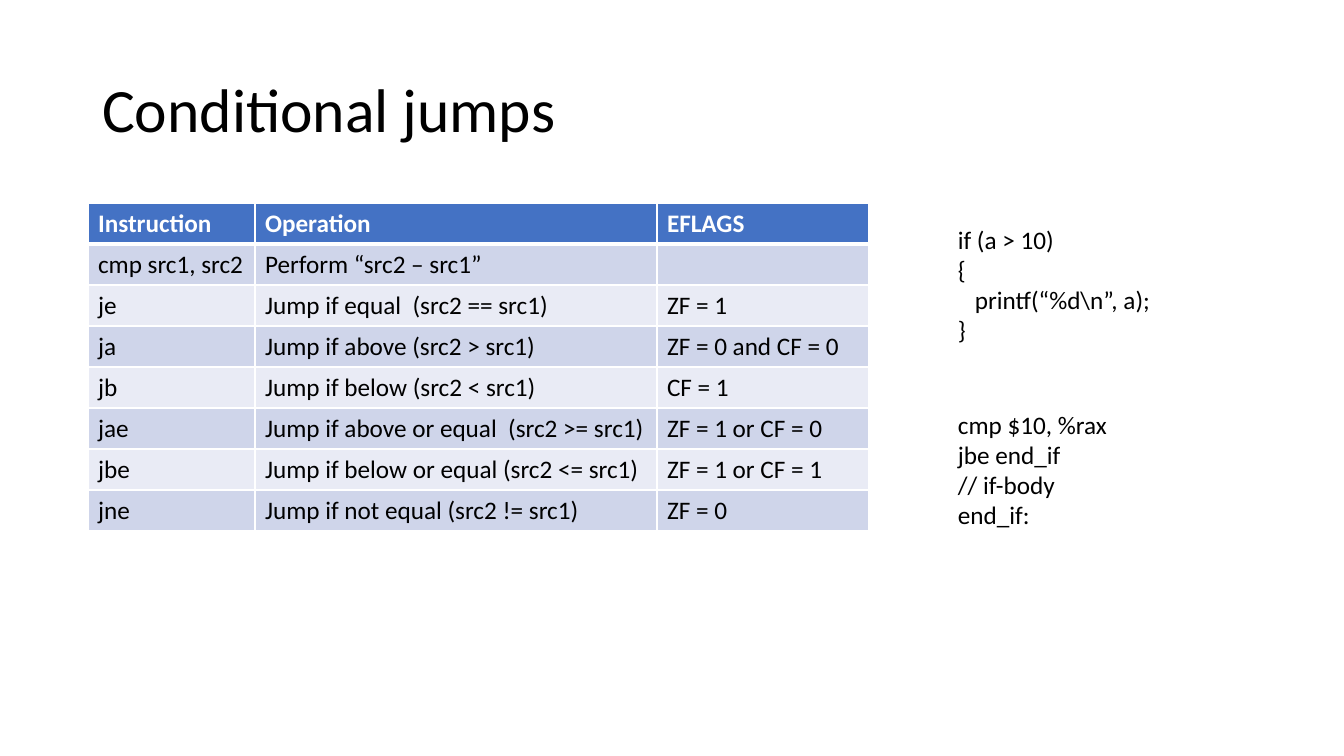
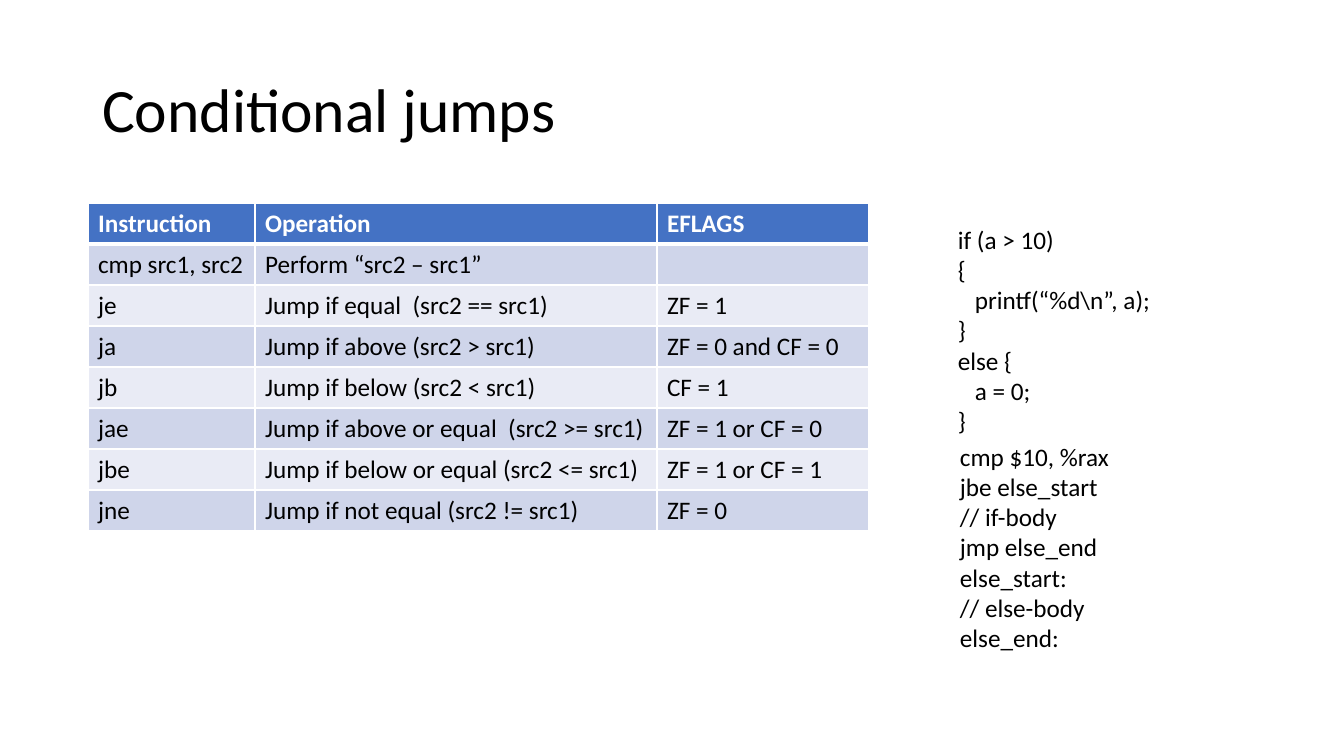
"""Build two slides on conditional jumps in assembly."""
import pptx
import pptx.dml.color
import pptx.enum.text
import pptx.oxml
import pptx.oxml.ns
import pptx.util

FONT = "Calibri"
BLACK, WHITE = "000000", "FFFFFF"
HEADER_FILL = "4472C4"
BAND_FILLS = ("CFD5EA", "E9EBF5")

SLIDE_SIZE = (1344, 756)
TITLE = "Conditional jumps"
TITLE_AREA = (92, 40, 1159, 146)
TABLE_CORNER = (88, 203)
COLUMN_WIDTHS = (167, 402, 212)
ROW_HEIGHT = 41

JUMP_ROWS = [
    ("Instruction", "Operation", "EFLAGS"),
    ("cmp src1, src2", "Perform “src2 – src1”", ""),
    ("je", "Jump if equal  (src2 == src1)", "ZF = 1"),
    ("ja", "Jump if above (src2 > src1)", "ZF = 0 and CF = 0"),
    ("jb", "Jump if below (src2 < src1)", "CF = 1"),
    ("jae", "Jump if above or equal  (src2 >= src1)", "ZF = 1 or CF = 0"),
    ("jbe", "Jump if below or equal (src2 <= src1)", "ZF = 1 or CF = 1"),
    ("jne", "Jump if not equal (src2 != src1)", "ZF = 0"),
]

IF_CODE = ["if (a > 10)", "{", "   printf(“%d\\n”, a);", "}"]
ELSE_CODE = ["else {", "   a = 0;", "}"]
IF_ASSEMBLY = ["cmp $10, %rax", "jbe end_if", "// if-body", "end_if:"]
ELSE_ASSEMBLY = ["cmp $10, %rax", "jbe else_start", "// if-body", "jmp else_end",
                 "else_start:", "// else-body", "else_end:"]

SLIDES = [
    [((948, 219, 324, 132), IF_CODE),
     ((948, 404, 218, 163), IF_ASSEMBLY)],
    [((948, 219, 324, 224), IF_CODE + ELSE_CODE),
     ((950, 436, 218, 254), ELSE_ASSEMBLY)],
]


def px(length):
    return pptx.util.Emu(round(length * 914400 / 100.8))


def color(value):
    return pptx.dml.color.RGBColor.from_string(value)


def write_text(frame, lines, size=18, ink=BLACK, bold=False, spacing=1.0):
    for index, line in enumerate(lines):
        para = frame.add_paragraph() if index else frame.paragraphs[0]
        para.alignment = pptx.enum.text.PP_ALIGN.LEFT
        para.line_spacing = spacing
        span = para.add_run()
        span.text = line
        span.font.name = FONT
        span.font.size = pptx.util.Pt(size)
        span.font.bold = bold
        span.font.color.rgb = color(ink)


def add_borders(cell, **widths):
    properties = cell._tc.get_or_add_tcPr()
    for side in "LRTB":
        width = pptx.util.Pt(widths.get(side, 1))
        properties.append(pptx.oxml.parse_xml(
            f'<a:ln{side} {pptx.oxml.ns.nsdecls("a")} w="{width}"><a:solidFill>'
            f'<a:srgbClr val="{WHITE}"/></a:solidFill></a:ln{side}>'))


def add_jump_table(page):
    size = (sum(COLUMN_WIDTHS), ROW_HEIGHT * len(JUMP_ROWS))
    table = page.shapes.add_table(len(JUMP_ROWS), len(COLUMN_WIDTHS),
                                  *map(px, TABLE_CORNER + size)).table
    table.horz_banding = False
    for column, width in zip(table.columns, COLUMN_WIDTHS):
        column.width = px(width)
    for number, texts in enumerate(JUMP_ROWS):
        header = number == 0
        table.rows[number].height = px(ROW_HEIGHT)
        for cell, text in zip(table.rows[number].cells, texts):
            add_borders(cell, B=3 if header else 1, T=3 if number == 1 else 1)
            cell.fill.solid()
            cell.fill.fore_color.rgb = color(
                HEADER_FILL if header else BAND_FILLS[(number - 1) % 2])
            if text:
                write_text(cell.text_frame, [text], bold=header,
                           ink=WHITE if header else BLACK)


def add_code(page, area, lines):
    box = page.shapes.add_textbox(*map(px, area))
    box.text_frame.word_wrap = True
    write_text(box.text_frame, lines)


def main():
    deck = pptx.Presentation()
    deck.slide_width, deck.slide_height = map(px, SLIDE_SIZE)
    layout = deck.slide_layouts.get_by_name("Title Only")
    heading = layout.placeholders[0]
    heading.left, heading.top, heading.width, heading.height = map(px, TITLE_AREA)
    heading.text_frame.vertical_anchor = pptx.enum.text.MSO_ANCHOR.MIDDLE
    for code_boxes in SLIDES:
        page = deck.slides.add_slide(layout)
        write_text(page.shapes.title.text_frame, [TITLE], size=44, spacing=0.9)
        add_jump_table(page)
        for area, lines in code_boxes:
            add_code(page, area, lines)
    deck.save("out.pptx")


if __name__ == "__main__":
    main()
